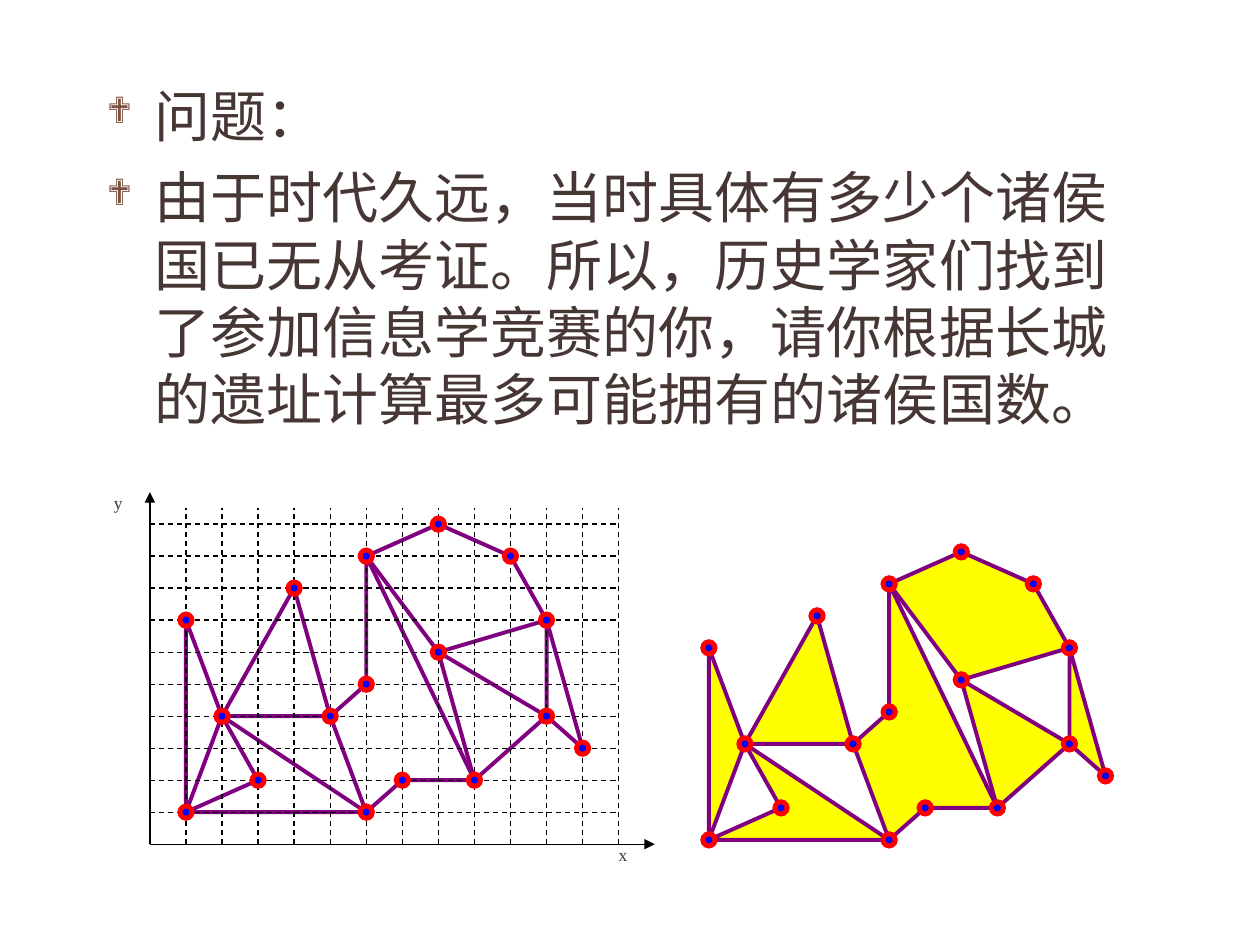
from lxml import etree
from pptx import Presentation
from pptx import util as u
from pptx.dml.color import RGBColor
from pptx.enum import dml, shapes, text
from pptx.oxml import ns

FONT, BULLET_FONT = "Times New Roman", "Wingdings"
TEXT, BULLET, BLACK = "463634", "795241", "000000"
WALL, STATE, RED, BLUE = "800080", "FFFF00", "FF0000", "0000FF"
COLUMNS, ROWS = 13, 10

# Lattice coordinates, counted from the origin at the lower left
TOWERS = [(3, 2), (5, 4), (8, 6), (4, 8), (1, 7), (9, 2), (11, 4), (11, 7), (10, 9),
          (6, 9), (6, 1), (1, 1), (2, 4), (12, 3), (8, 10), (6, 5), (7, 2)]
EAST_STATE = [(5, 4), (6, 5), (6, 9), (9, 2), (7, 2), (6, 1)]
WALLS = [
    EAST_STATE,
    [(6, 9), (8, 6), (11, 7), (11, 4), (8, 6), (9, 2), (11, 4), (12, 3),
     (11, 7), (10, 9), (8, 10)],
    [(1, 7), (2, 4), (1, 1), (3, 2), (2, 4), (4, 8), (5, 4), (2, 4), (6, 1), (1, 1)],
]
STATES = [
    [(11, 7), (11, 4), (12, 3)],
    [(8, 6), (9, 2), (11, 4)],
    [(6, 9), (8, 6), (11, 7), (10, 9), (8, 10)],
    EAST_STATE,
    [(2, 4), (5, 4), (4, 8)],
    [(2, 4), (3, 2), (1, 1), (6, 1)],
    [(1, 7), (1, 1), (2, 4)],
]
PARAGRAPHS = [
    "问题：",
    "由于时代久远，当时具体有多少个诸侯国已无从考证。所以，历史学家们找到了参加信息学竞赛的你，"
    "请你根据长城的遗址计算最多可能拥有的诸侯国数。",
]


def color(value):
    return RGBColor.from_string(value)


def set_values(target, values):
    for name, value in values.items():
        setattr(target, name, value)


def add_child(parent, tag, **attributes):
    return etree.SubElement(parent, ns.qn(tag), attributes)


def add_run(paragraph, words, size):
    run = paragraph.add_run()
    run.text = words
    set_values(run.font, {"name": FONT, "size": u.Pt(size)})
    run.font.color.rgb = color(TEXT)


def add_text_frame(parent, box, margin_x=0, margin_y=0):
    frame = parent.add_textbox(*map(u.Inches, box)).text_frame
    set_values(frame, {
        "word_wrap": True, "vertical_anchor": text.MSO_ANCHOR.TOP,
        "margin_left": u.Inches(margin_x), "margin_right": u.Inches(margin_x),
        "margin_top": u.Inches(margin_y), "margin_bottom": u.Inches(margin_y)})
    return frame


def add_question(slide, box):
    frame = add_text_frame(slide.shapes, box, 0.1, 0.05)
    for index, words in enumerate(PARAGRAPHS):
        paragraph = frame.add_paragraph() if index else frame.paragraphs[0]
        properties = paragraph._p.get_or_add_pPr()
        set_values(paragraph, {"space_before": u.Pt(8 if index else 0)})
        properties.set("marL", str(u.Inches(0.38)))
        properties.set("indent", str(-u.Inches(0.38)))
        add_child(add_child(properties, "a:buClr"), "a:srgbClr", val=BULLET)
        add_child(properties, "a:buSzPct", val="65000")
        add_child(properties, "a:buFont", typeface=BULLET_FONT, charset="2")
        add_child(properties, "a:buChar", char="❖")
        add_run(paragraph, words, 32)


def lattice(box):
    """Return a function that turns lattice coordinates into inches."""
    left, top, width, height = box
    return lambda x, y: (left + x * width / COLUMNS, top + height - y * height / ROWS)


def add_outline(parent, points, place, fill=None, line=None):
    start, *others = [tuple(map(u.Inches, place(*point))) for point in points]
    builder = parent.build_freeform(*start)
    builder.add_line_segments(others, close=True)
    shape = builder.convert_to_shape()
    shape.shadow.inherit = False
    if fill:
        shape.fill.solid()
        shape.fill.fore_color.rgb = color(fill)
    else:
        shape.fill.background()
    if line:
        shape.line.color.rgb = color(line)
        shape.line.width = u.Pt(2.25)
    else:
        shape.line.fill.background()


def add_line(parent, start, end, line=BLACK, dashed=False, head=None, tail=None):
    connector = parent.add_connector(
        shapes.MSO_CONNECTOR.STRAIGHT, *map(u.Inches, (*start, *end)))
    connector.line.color.rgb = color(line)
    connector.line.width = u.Pt(0.75)
    if dashed:
        connector.line.dash_style = dml.MSO_LINE.DASH
    for tag, ending in (("a:headEnd", head), ("a:tailEnd", tail)):
        if ending:
            add_child(connector.line._get_or_add_ln(), tag, **ending)
    add_child(connector._element.spPr, "a:effectLst")


def add_grid(parent, place):
    # Axes run one step past the lattice
    for end in ((COLUMNS + 1, 0), (0, ROWS + 1)):
        add_line(parent, place(0, 0), place(*end), tail={"type": "triangle"})
    for x in range(1, COLUMNS + 1):
        add_line(parent, place(x, 0), place(x, ROWS + 0.5), dashed=True)
    for y in range(1, ROWS + 1):
        add_line(parent, place(0, y), place(COLUMNS, y), dashed=True)


def add_towers(parent, place):
    # Each tower is a pair of very short lines with oval heads
    for tower in TOWERS:
        x, y = place(*tower)
        for line, size in ((RED, "lg"), (BLUE, "sm")):
            add_line(parent, (x, y), (x + 0.01, y), line,
                     head={"type": "oval", "w": size, "len": size})


def add_axis_label(parent, words, corner):
    paragraph = add_text_frame(parent, (*corner, 0.86, 0.76)).paragraphs[0]
    paragraph.alignment = text.PP_ALIGN.JUSTIFY
    add_run(paragraph, words, 10)


def add_map(slide, box, states=(), grid=False):
    parent = slide.shapes.add_group_shape().shapes
    place = lattice(box)
    for state in states:
        add_outline(parent, state, place, fill=STATE)
    for wall in WALLS:
        add_outline(parent, wall, place, line=WALL)
    if grid:
        add_grid(parent, place)
    add_towers(parent, place)
    if grid:
        add_axis_label(parent, "x", place(COLUMNS, 0))
        add_axis_label(parent, "y", place(-1, ROWS + 1))


def main():
    presentation = Presentation()
    set_values(presentation, {"slide_width": u.Inches(10), "slide_height": u.Inches(7.5)})
    slide = presentation.slides.add_slide(presentation.slide_layouts[6])
    add_question(slide, (0.75, 0.6, 8.5, 3.07))
    # Great wall ruins on the grid, then the states they enclose
    add_map(slide, (1.19, 4.16, 3.72, 2.54), grid=True)
    add_map(slide, (5.34, 4.38, 3.72, 2.54), states=STATES)
    presentation.save("out.pptx")


if __name__ == "__main__":
    main()
